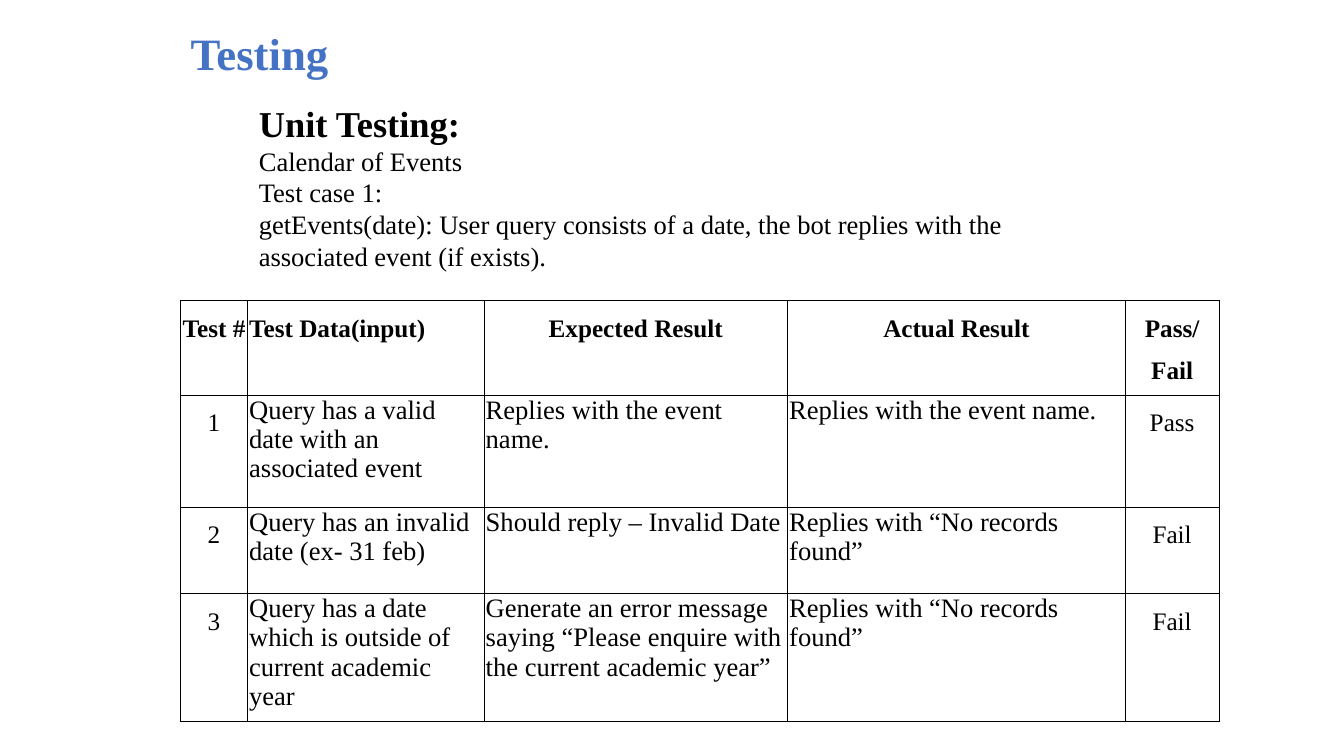
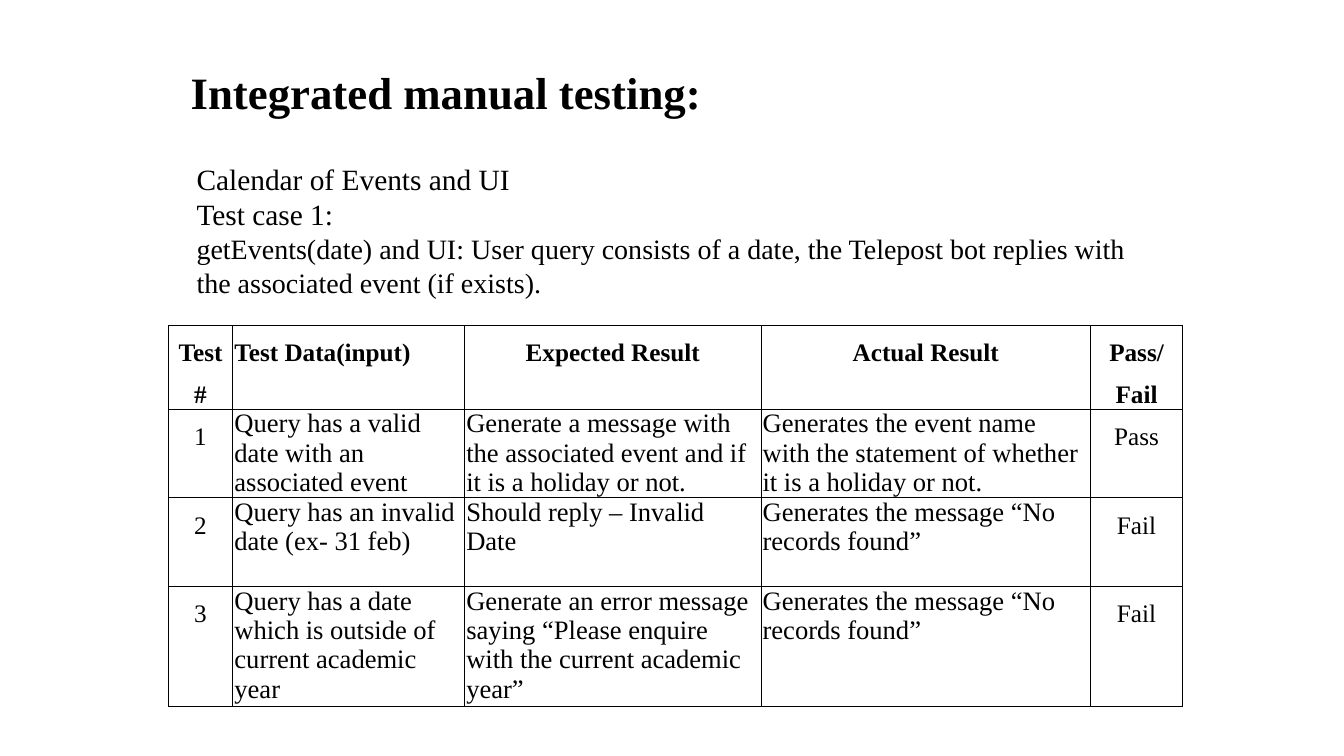
from lxml import etree
from pptx import Presentation
from pptx.dml.color import RGBColor
from pptx.enum.text import MSO_ANCHOR, PP_ALIGN
from pptx.oxml.ns import qn
from pptx.util import Pt

LEFT, CENTER = PP_ALIGN.LEFT, PP_ALIGN.CENTER
TOP, MIDDLE = MSO_ANCHOR.TOP, MSO_ANCHOR.MIDDLE
FONT, BLACK, BLUE = "Times New Roman", "000000", "4472C4"
CELL_PAD = 1.2
BORDER_WIDTH = 0.75
TITLE_SIZE = 32
LABEL_SIZE, BODY_SIZE = 18, 19
LABEL_LINE, BODY_LINE = Pt(29.9), Pt(21)
TITLE_LEFT = 129.1

HEADERS = ["Test #", "Test Data(input)", "Expected Result", "Actual Result", "Pass/ Fail"]
HEADER_ALIGNS = [CENTER, LEFT, CENTER, CENTER, CENTER]
INPUTS = [
    "Query has a valid date with an associated event",
    "Query has an invalid date (ex- 31 feb)",
    "Query has a date which is outside of current academic year",
]
INVALID_DATE = "Should reply – Invalid Date"
WRONG_YEAR = "Generate an error message saying “Please enquire with the current academic year”"
VERDICTS = ["Pass", "Fail", "Fail"]


def rgb(value):
    """Turn a hex string into a colour."""
    return RGBColor.from_string(value)


def write(p, text, size=BODY_SIZE, bold=False, color=BLACK, align=LEFT, spacing=1.0):
    """Write one formatted run into a paragraph."""
    p.alignment = align
    p.line_spacing = spacing
    r = p.add_run()
    r.text = text
    r.font.name = FONT
    r.font.size = Pt(size)
    r.font.bold = bold
    r.font.color.rgb = rgb(color)


def add_text(s, box, lines, anchor=TOP, pad=7.2):
    """Add a text box with one paragraph for each (text, format) pair."""
    tf = s.shapes.add_textbox(*map(Pt, box)).text_frame
    tf.word_wrap = True
    tf.vertical_anchor = anchor
    tf.margin_left = tf.margin_right = Pt(7.2)
    tf.margin_top = tf.margin_bottom = Pt(pad)
    for i, (text, fmt) in enumerate(lines):
        p = tf.add_paragraph() if i else tf.paragraphs[0]
        write(p, text, **fmt)


def add_title(s, box, text, color, spacing=1.0, **frame):
    """Add the bold slide title."""
    fmt = dict(size=TITLE_SIZE, bold=True, color=color, spacing=spacing)
    add_text(s, box, [(text, fmt)], **frame)


def set_borders(cell):
    """Draw a thin black line on the four sides of a cell."""
    tc_pr = cell._tc.get_or_add_tcPr()
    for i, side in enumerate(("a:lnL", "a:lnR", "a:lnT", "a:lnB")):
        line = etree.Element(qn(side), w=str(Pt(BORDER_WIDTH)))
        fill = etree.SubElement(line, qn("a:solidFill"))
        etree.SubElement(fill, qn("a:srgbClr"), val=BLACK)
        tc_pr.insert(i, line)


def cell_format(row, col):
    """Choose the text format from the place of a cell in the table."""
    if row == 0:
        return dict(size=LABEL_SIZE, bold=True, align=HEADER_ALIGNS[col], spacing=LABEL_LINE)
    if col in (0, len(HEADERS) - 1):
        return dict(size=LABEL_SIZE, align=CENTER, spacing=LABEL_LINE)
    return dict(spacing=BODY_LINE)


def add_results(s, left, top, widths, heights, expected, actual):
    """Add the table of test results."""
    numbers = [str(i + 1) for i in range(len(INPUTS))]
    rows = [HEADERS, *zip(numbers, INPUTS, expected, actual, VERDICTS)]
    frame = s.shapes.add_table(len(rows), len(HEADERS), Pt(left), Pt(top),
                               Pt(sum(widths)), Pt(sum(heights)))
    table = frame.table
    table.first_row = table.horz_banding = False
    for column, width in zip(table.columns, widths):
        column.width = Pt(width)
    for i, (texts, height) in enumerate(zip(rows, heights)):
        table.rows[i].height = Pt(height)
        for j, text in enumerate(texts):
            cell = table.cell(i, j)
            cell.margin_left = cell.margin_right = Pt(CELL_PAD)
            cell.margin_top = cell.margin_bottom = 0
            cell.vertical_anchor = TOP
            cell.fill.background()
            set_borders(cell)
            write(cell.text_frame.paragraphs[0], text, **cell_format(i, j))


def unit_testing(s):
    """Build the unit testing slide."""
    add_title(s, (TITLE_LEFT, 11.5, 236, 53), "Testing", BLUE)
    add_text(s, (177.8, 64.8, 611.3, 138), [
        ("Unit Testing:", dict(size=26, bold=True)),
        ("Calendar of Events", {}),
        ("Test case 1:", {}),
        ("getEvents(date): User query consists of a date, the bot replies with the "
         "associated event (if exists).", {}),
    ])
    not_found = "Replies with “No records found”"
    event_name = "Replies with the event name."
    add_results(s, 129, 214.8, [47.8, 169, 216.8, 241.2, 67], [67.6, 80, 61.8, 91],
                [event_name, INVALID_DATE, WRONG_YEAR],
                [event_name, not_found, not_found])


def integrated_testing(s):
    """Build the integrated manual testing slide."""
    add_title(s, (TITLE_LEFT, 5, 720, 126), "Integrated manual testing:", BLACK,
              spacing=0.9, anchor=MIDDLE, pad=3.6)
    not_found = "Generates the message “No records found”"
    add_results(s, 120.2, 232.5, [46.1, 165.6, 211.7, 235.5, 65.6], [59.8, 63.2, 63.4, 86],
                ["Generate a message with the associated event and if it is a holiday or not.",
                 INVALID_DATE, WRONG_YEAR],
                ["Generates the event name with the statement of whether it is a holiday or not.",
                 not_found, not_found])
    add_text(s, (133.3, 108, 698.4, 139.7), [
        ("Calendar of Events and UI", dict(size=21)),
        ("Test case 1:", dict(size=21)),
        ("getEvents(date) and UI: User query consists of a date, the Telepost bot replies "
         "with the associated event (if exists).", dict(size=20)),
    ])


def main():
    """Build and save the presentation."""
    prs = Presentation()
    prs.slide_width, prs.slide_height = Pt(960), Pt(540)
    for build in (unit_testing, integrated_testing):
        build(prs.slides.add_slide(prs.slide_layouts[6]))
    prs.save("out.pptx")


if __name__ == "__main__":
    main()
